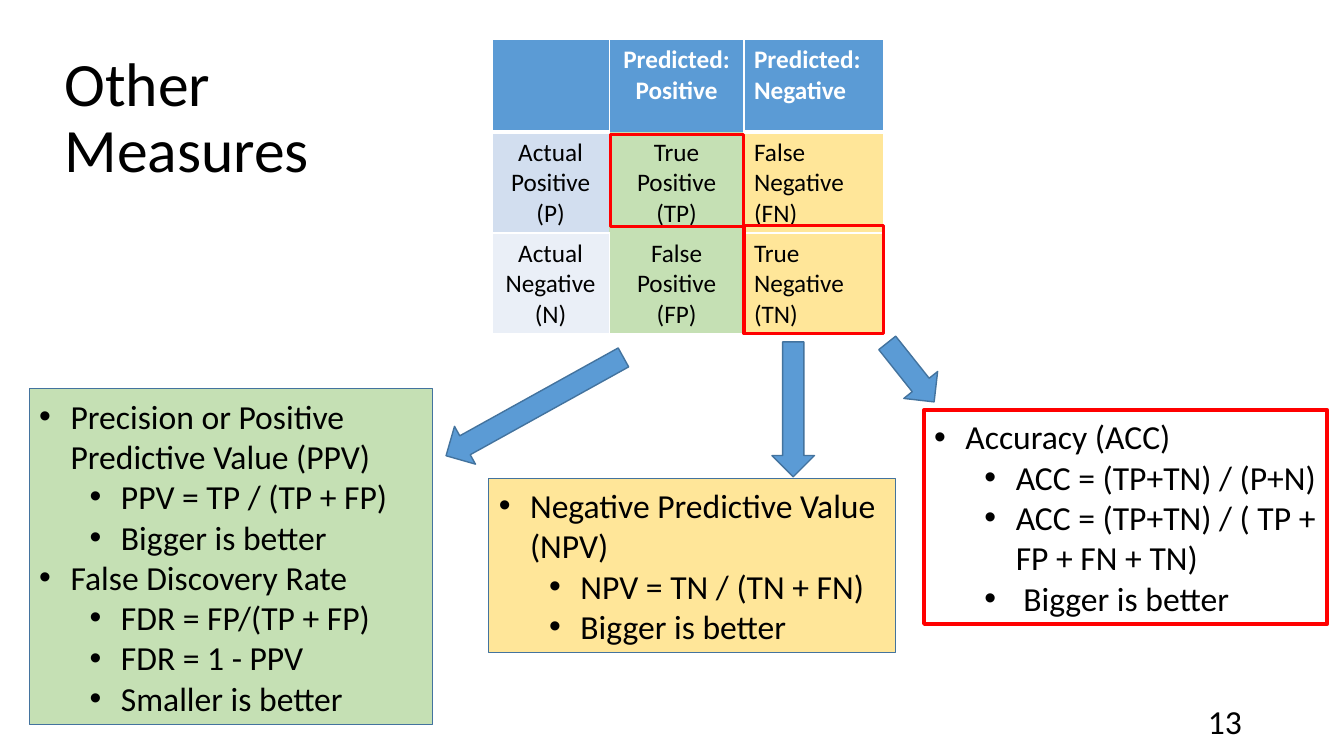
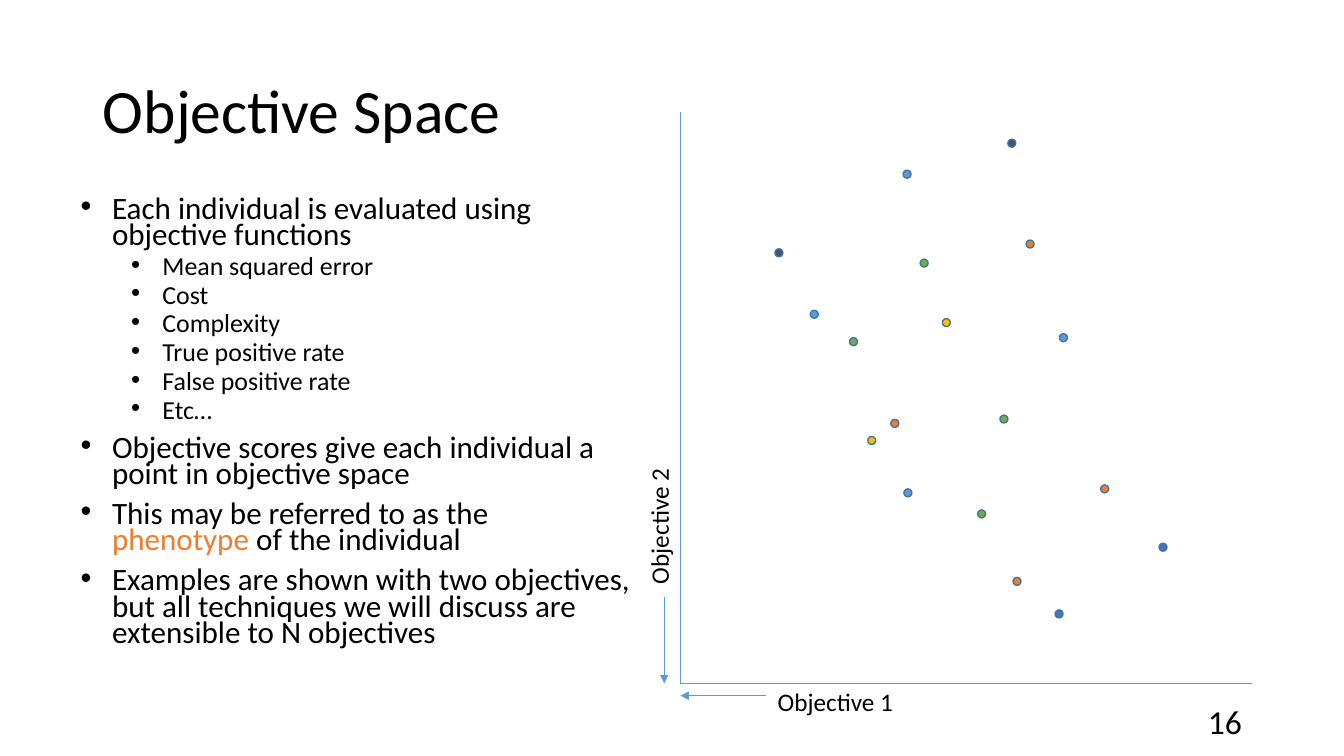
import lxml.etree
import pptx
import pptx.dml.color
import pptx.enum.shapes
import pptx.enum.text
import pptx.oxml.ns
import pptx.slide
import pptx.util
from dataclasses import dataclass
from typing import Any, Optional

Cm = pptx.util.Cm
Pt = pptx.util.Pt
SHAPE = pptx.enum.shapes.MSO_SHAPE
ALIGN = pptx.enum.text.PP_ALIGN
FIT = pptx.enum.text.MSO_AUTO_SIZE
MIDDLE = pptx.enum.text.MSO_ANCHOR.MIDDLE
FONT = "Calibri"
COL = {
    "black": "000000", "white": "FFFFFF", "red": "FF0000",
    "blue": "5B9BD5", "edge": "43739E", "green": "C5E0B4",
    "yellow": "FFE699", "band": "D2DEEF", "pale": "EAEFF7",
    "slate": "44546A", "leaf": "70AD47", "gold": "FFC000",
    "orange": "ED7D31", "navy": "4472C4",
}


@dataclass
class Box:
    """Left, top, width and height in centimetres."""
    x: float
    y: float
    w: float
    h: float

    def place(self) -> tuple:
        return Cm(self.x), Cm(self.y), Cm(self.w), Cm(self.h)


@dataclass
class Item:
    text: str
    level: int = 0
    mark: str = ""


@dataclass
class Panel:
    box: Box
    fill: Optional[str]
    line: str
    width: float
    items: list[Item]


@dataclass
class Arrow:
    box: Box
    turn: float


@dataclass
class Cell:
    text: str
    fill: str
    sides: str = "LRTB"
    align: Any = ALIGN.CENTER


@dataclass
class Rule:
    x1: float
    y1: float
    x2: float
    y2: float
    head: bool = False


@dataclass
class Dot:
    x: float
    y: float
    fill: str


# Shared helpers
def rgb(name: str) -> pptx.dml.color.RGBColor:
    return pptx.dml.color.RGBColor.from_string(COL[name])


def add_node(root: Any, tag: str, **attrs: str) -> Any:
    return lxml.etree.SubElement(root, pptx.oxml.ns.qn(tag), attrs)


def style_run(run: Any, size: float, color: str = "black", bold: bool = False) -> None:
    run.font.name, run.font.size, run.font.bold = FONT, Pt(size), bold
    run.font.color.rgb = rgb(color)


def style_text(frame: Any, size: float, color: str = "black", bold: bool = False,
               align: Any = ALIGN.LEFT) -> None:
    for para in frame.paragraphs:
        para.alignment = align
        for run in para.runs:
            style_run(run, size, color, bold)


def fill_list(frame: Any, items: list[Item], sizes: tuple, gaps: tuple = (0, 0),
              lead: float = 1.0) -> None:
    frame.text = "\n".join(item.text for item in items)
    for i, (para, item) in enumerate(zip(frame.paragraphs, items)):
        if item.mark:
            para.text = ""
            for part in item.text.partition(item.mark):
                para.add_run().text = part
        props = para._p.get_or_add_pPr()
        props.set("marL", str(Cm(0.79 + 1.27 * item.level)))
        props.set("indent", str(Cm(-0.79)))
        add_node(props, "a:buFont", typeface="Arial")
        add_node(props, "a:buChar", char="•")
        para.level = item.level
        para.alignment = ALIGN.LEFT
        para.line_spacing = lead
        para.space_before = Pt(gaps[item.level] if i else 0)
        for run in para.runs:
            hit = item.mark and run.text == item.mark
            style_run(run, sizes[item.level], "orange" if hit else "black")


def add_form(shapes: Any, kind: Any, box: Box, fill: Optional[str], line: str,
             width: float) -> Any:
    form = shapes.add_shape(kind, *box.place())
    form.shadow.inherit = False
    if fill:
        form.fill.solid()
        form.fill.fore_color.rgb = rgb(fill)
    else:
        form.fill.background()
    form.line.color.rgb = rgb(line)
    form.line.width = Pt(width)
    return form


def add_label(slide: pptx.slide.Slide, box: Box, text: str, size: float,
              turn: float = 0) -> Any:
    label = slide.shapes.add_textbox(*box.place())
    label.rotation = turn
    label.text_frame.word_wrap = False
    label.text_frame.text = text
    style_text(label.text_frame, size)
    return label


def add_page(deck: Any, layout: int, title: str, box: Box, number: int) -> pptx.slide.Slide:
    slide = deck.slides.add_slide(deck.slide_layouts[layout])
    head = slide.shapes.title
    head.left, head.top, head.width, head.height = box.place()
    frame = head.text_frame
    frame.text = title
    frame.vertical_anchor, frame.auto_size = MIDDLE, FIT.NONE
    frame.paragraphs[0].line_spacing = 0.9
    style_text(frame, 44)
    foot = add_label(slide, Box(23.93, 17.65, 7.62, 1.02), str(number), 24)
    foot.text_frame.word_wrap = True
    foot.text_frame.vertical_anchor = MIDDLE
    foot.text_frame.paragraphs[0].alignment = ALIGN.RIGHT
    return slide


# Table and lines
def set_sides(cell: Any, sides: str, base: float) -> None:
    props = cell._tc.get_or_add_tcPr()
    for side in "LRTB":
        width = base if side == "B" else 1
        line = add_node(props, f"a:ln{side}", w=str(Pt(width)))
        if side in sides:
            fill = add_node(line, "a:solidFill")
            add_node(fill, "a:srgbClr", val=COL["white"])
        else:
            add_node(line, "a:noFill")


def add_grid(slide: pptx.slide.Slide, rows: list[list[Cell]]) -> None:
    table = slide.shapes.add_table(3, 3, *Box(12.4, 0.99, 9.86, 7.09).place()).table
    table.first_row = table.horz_banding = False
    for col, width in zip(table.columns, (2.95, 3.4, 3.51)):
        col.width = Cm(width)
    for row, height in zip(table.rows, (2.34, 2.41, 2.34)):
        row.height = Cm(height)
    for r, row in enumerate(rows):
        for c, data in enumerate(row):
            cell = table.cell(r, c)
            set_sides(cell, data.sides, 1 if r else 3)
            cell.fill.solid()
            cell.fill.fore_color.rgb = rgb(data.fill)
            cell.text_frame.text = data.text
            style_text(cell.text_frame, 18, "black" if r else "white", not r, data.align)


def add_rule(shapes: Any, rule: Rule) -> None:
    line = shapes.add_connector(pptx.enum.shapes.MSO_CONNECTOR.STRAIGHT,
                                Cm(rule.x1), Cm(rule.y1), Cm(rule.x2), Cm(rule.y2))
    line.line.color.rgb = rgb("blue")
    line.line.width = Pt(0.5)
    if rule.head:
        add_node(line.line._get_or_add_ln(), "a:tailEnd", type="triangle")
    add_node(line._element.spPr, "a:effectLst")


# Slide content
CELLS = [
    [Cell("", "blue"), Cell("Predicted:\nPositive", "blue", "LRT"),
     Cell("Predicted:\nNegative", "blue", align=ALIGN.LEFT)],
    [Cell("Actual Positive (P)", "band"), Cell("True Positive (TP)", "green", ""),
     Cell("False Negative\n(FN)", "yellow", "RTB", ALIGN.LEFT)],
    [Cell("Actual Negative (N)", "pale"), Cell("False Positive (FP)", "green", "LRB"),
     Cell("True\nNegative\n(TN)", "yellow", align=ALIGN.LEFT)],
]
PANELS = [
    Panel(Box(0.74, 9.8, 10.16, 8.46), "green", "edge", 0.75, [
        Item("Precision or Positive Predictive Value (PPV)"),
        Item("PPV = TP / (TP + FP)", 1), Item("Bigger is better", 1),
        Item("False Discovery Rate"), Item("FDR = FP/(TP + FP)", 1),
        Item("FDR = 1 - PPV", 1), Item("Smaller is better", 1)]),
    Panel(Box(12.32, 12.07, 10.26, 4.37), "yellow", "edge", 0.75, [
        Item("Negative Predictive Value (NPV)"),
        Item("NPV = TN / (TN + FN)", 1), Item("Bigger is better", 1)]),
    Panel(Box(23.29, 10.34, 10.16, 5.38), None, "red", 3, [
        Item("Accuracy (ACC)"), Item("ACC = (TP+TN) / (P+N)", 1),
        Item("ACC = (TP+TN) / ( TP + FP + FN + TN)", 1), Item(" Bigger is better", 1)]),
]
ARROWS = [Arrow(Box(10.92, 9.7, 5.11, 1.09), 151), Arrow(Box(18.29, 9.78, 3.4, 1.07), 90),
          Arrow(Box(22, 8.84, 1.9, 1.09), 51.5)]
FRAMES = [Box(15.39, 3.4, 3.35, 2.31), Box(18.75, 5.69, 3.51, 2.72)]
POINTS = [
    Item("Each individual is evaluated using objective functions"),
    *(Item(text, 1) for text in ("Mean squared error", "Cost", "Complexity",
                                 "True positive rate", "False positive rate", "Etc…")),
    Item("Objective scores give each individual a point in objective space"),
    Item("This may be referred to as the phenotype of the individual", mark="phenotype"),
    Item("Examples are shown with two objectives, but all techniques we will discuss "
         "are extensible to N objectives"),
]
RULES = [Rule(17.15, 2.82, 17.15, 17.22), Rule(17.15, 17.22, 31.55, 17.22),
         Rule(19.3, 17.53, 17.15, 17.53, True), Rule(16.74, 15.04, 16.74, 17.22, True)]
DOTS = [
    Dot(19.53, 6.27, "slate"), Dot(20.42, 7.82, "blue"), Dot(24.64, 12.85, "leaf"),
    Dot(22.78, 12.32, "blue"), Dot(21.87, 11, "gold"), Dot(22.45, 10.57, "orange"),
    Dot(21.41, 8.51, "leaf"), Dot(25.53, 14.55, "orange"), Dot(26.59, 15.37, "navy"),
    Dot(25.4, 3.51, "slate"), Dot(22.76, 4.29, "blue"), Dot(25.2, 10.46, "leaf"),
    Dot(26.7, 8.41, "blue"), Dot(23.75, 8.03, "gold"), Dot(25.86, 6.05, "orange"),
    Dot(23.19, 6.53, "leaf"), Dot(27.74, 12.22, "orange"), Dot(29.21, 13.69, "navy"),
]


# Slides
def draw_scores(deck: Any) -> None:
    slide = add_page(deck, 5, "Other Measures", Box(1.37, 0.94, 9.6, 4.14), 13)
    add_grid(slide, CELLS)
    for arrow in ARROWS:
        form = add_form(slide.shapes, SHAPE.RIGHT_ARROW, arrow.box, "blue", "edge", 1)
        form.rotation = arrow.turn
    for panel in PANELS:
        form = add_form(slide.shapes, SHAPE.RECTANGLE, panel.box, panel.fill,
                        panel.line, panel.width)
        form.text_frame.word_wrap = True
        form.text_frame.auto_size = FIT.SHAPE_TO_FIT_TEXT
        fill_list(form.text_frame, panel.items, (24, 24))
    for box in FRAMES:
        add_form(slide.shapes, SHAPE.RECTANGLE, box, None, "red", 2.25)


def draw_space(deck: Any) -> None:
    slide = add_page(deck, 1, "Objective Space", Box(2.34, 1.02, 29.21, 3.68), 16)
    body = slide.placeholders[1]
    body.left, body.top, body.width, body.height = Box(1.78, 4.88, 14.4, 12.09).place()
    body.text_frame.auto_size = FIT.NONE
    fill_list(body.text_frame, POINTS, (22.2, 18.5), (10, 5), 0.7)
    plot = slide.shapes.add_group_shape().shapes
    for rule in RULES:
        add_rule(plot, rule)
    for dot in DOTS:
        add_form(plot, SHAPE.OVAL, Box(dot.x, dot.y, 0.2, 0.2), dot.fill, "edge", 1)
    add_label(slide, Box(19.35, 17.17, 3.45, 1.02), "Objective 1", 18)
    add_label(slide, Box(14.88, 12.73, 3.45, 1.02), "Objective 2", 18, 270)


def main() -> None:
    deck = pptx.Presentation()
    deck.slide_width, deck.slide_height = Cm(33.87), Cm(19.05)
    draw_scores(deck)
    draw_space(deck)
    deck.save("out.pptx")


if __name__ == "__main__":
    main()
